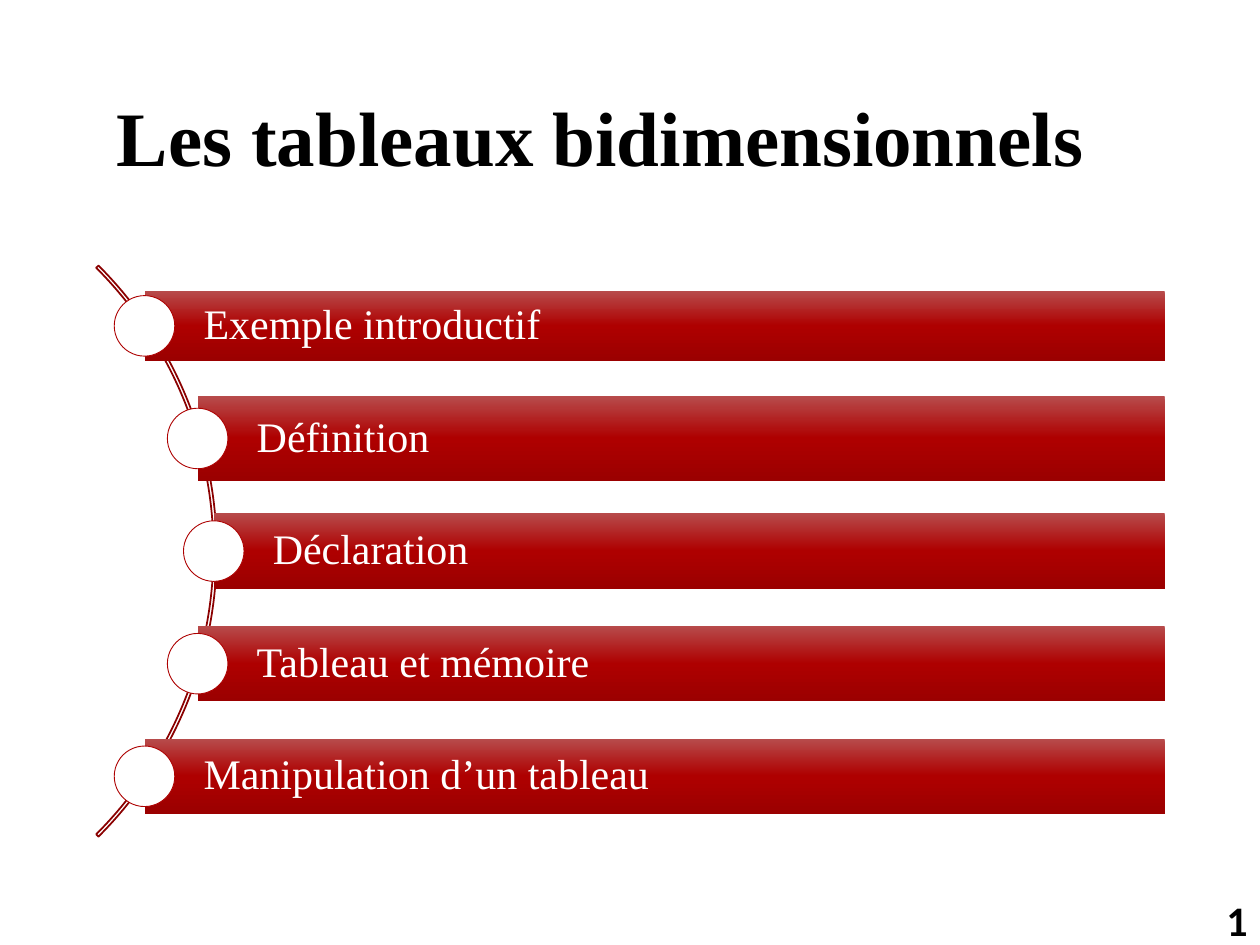
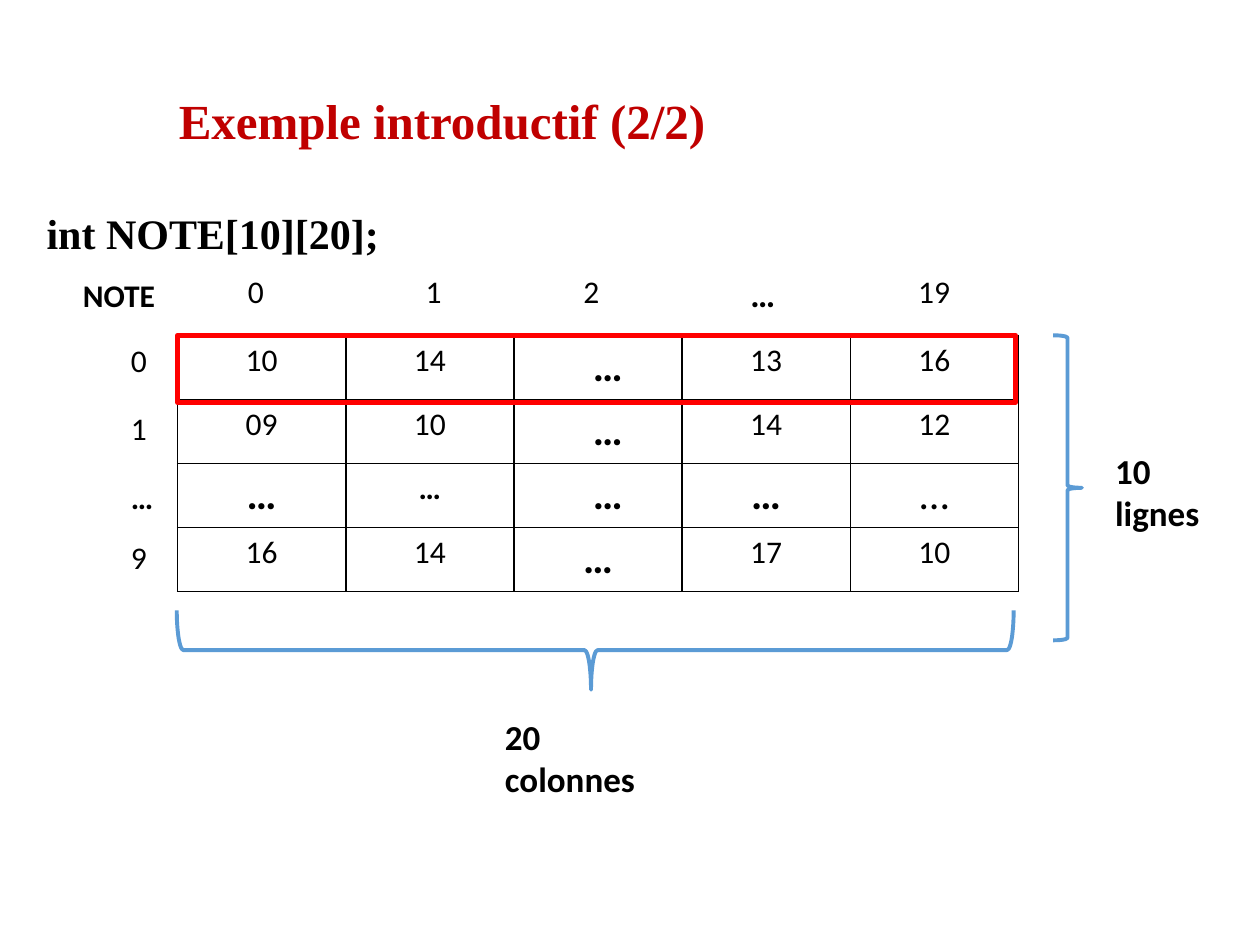
from copy import deepcopy
from math import sqrt

from lxml import etree
from pptx import Presentation
from pptx.dml.color import RGBColor
from pptx.enum import shapes, text
from pptx.oxml.ns import qn
from pptx.util import Cm, Pt

BLACK = RGBColor(0x00, 0x00, 0x00)
WHITE = RGBColor(0xFF, 0xFF, 0xFF)
RED = RGBColor(0xFF, 0x00, 0x00)
TITLE_RED = RGBColor(0xC0, 0x00, 0x00)
ARC_RED = RGBColor(0x8B, 0x01, 0x01)
RING_RED = RGBColor(0xAD, 0x01, 0x01)
BRACE_BLUE = RGBColor(0x5B, 0x9B, 0xD5)
BAR_STOPS = [
    (0, RGBColor(0xB7, 0x4B, 0x4B)),
    (0.5, RGBColor(0xAE, 0x00, 0x00)),
    (1, RGBColor(0x9B, 0x00, 0x00)),
]
SERIF, SANS = "Times New Roman", "Calibri"
SHAPE = shapes.MSO_SHAPE
ALIGN, ANCHOR = text.PP_ALIGN, text.MSO_ANCHOR

TOPICS = [
    ("Exemple introductif", 1.4),
    ("Définition", 1.7),
    ("Déclaration", 1.52),
    ("Tableau et mémoire", 1.52),
    ("Manipulation d’un tableau", 1.52),
]
ARC_X, ARC_Y, ARC_SIZE = -3.77, 11.11, 16.28
RING_ORBIT, RING_SIZE = 8.08, 1.22
TOPIC_PITCH, BAR_RIGHT = 2.27, 23.48

NOTES = [
    ["10", "14", "…", "13", "16"],
    ["09", "10", "…", "14", "12"],
    ["…", "…", "…", "…", "…"],
    ["16", "14", "…", "17", "10"],
]
DOT_FORMATS = {(2, 1): dict(size=18, bold=True), (2, 4): dict(size=24)}
SHIFTED_CELLS = [(0, 2), (1, 2), (2, 2)]
TABLE_X, TABLE_Y, COL_W, ROW_H = 3.58, 6.76, 3.39, 1.29

ROW_LABELS = [("0", 6.76), ("1", 8.13), ("…", 9.52), ("9", 10.72)]
COL_LABELS = [("0", 4.75), ("1", 8.33), ("2", 11.51), ("…", 14.88), ("19", 18.26)]
LABEL_WIDTHS = {"…": 0.97, "19": 1.17}
CAPTIONS = [
    ("int NOTE[10][20];", (0.69, 4.06, 7.21, 2.31), dict(size=24, font=SERIF)),
    ("NOTE", (1.42, 5.44, 1.96, 1.02), dict(size=18)),
    ("10 lignes", (22.23, 8.94, 3.07, 1.12), dict(size=20)),
    ("20 colonnes", (9.93, 14.3, 3.99, 1.12), dict(size=20)),
]


def write(tf, content, size=18, font=SANS, color=BLACK, bold=False,
          align=ALIGN.LEFT, spacing=None):
    p = tf.paragraphs[0]
    p.alignment = align
    p.line_spacing = spacing
    r = p.add_run()
    r.text = content
    r.font.size, r.font.name, r.font.bold = Pt(size), font, bold
    r.font.color.rgb = color


def add_label(slide, content, box, anchor=ANCHOR.TOP, wrap=False, **fmt):
    tf = slide.shapes.add_textbox(*map(Cm, box)).text_frame
    tf.word_wrap, tf.vertical_anchor = wrap, anchor
    write(tf, content, **fmt)


def add_shape(slide, kind, box, fill=None, line=None, width=1, adj=()):
    sp = slide.shapes.add_shape(kind, *map(Cm, box))
    sp.shadow.inherit = False
    if fill is None:
        sp.fill.background()
    else:
        sp.fill.solid()
        sp.fill.fore_color.rgb = fill
    if line is None:
        sp.line.fill.background()
    else:
        sp.line.color.rgb = line
        sp.line.width = Pt(width)
    for i, value in enumerate(adj):
        sp.adjustments[i] = value
    return sp


def add_titled_slide(prs, content, box, anchor, **fmt):
    slide = prs.slides.add_slide(prs.slide_layouts[5])
    title = slide.shapes.title
    title.left, title.top, title.width, title.height = map(Cm, box)
    title.text_frame.vertical_anchor = anchor
    write(title.text_frame, content, font=SERIF, bold=True, **fmt)
    return slide


def fill_gradient(sp):
    sp.fill.gradient()
    stop_list = sp._element.spPr.find(".//" + qn("a:gsLst"))
    stop_list.append(deepcopy(stop_list[-1]))
    for stop, (position, color) in zip(sp.fill.gradient_stops, BAR_STOPS):
        stop.position = position
        stop.color.rgb = color
    sp.fill.gradient_angle = 270


def border(cell):
    tc_pr = cell._tc.get_or_add_tcPr()
    for side in ("lnL", "lnR", "lnT", "lnB"):
        ln = etree.SubElement(tc_pr, qn("a:" + side), w=str(Pt(1)))
        solid = etree.SubElement(ln, qn("a:solidFill"))
        etree.SubElement(solid, qn("a:srgbClr"), val=str(BLACK))


def add_topic(slide, content, height, y):
    x = ARC_X + sqrt(RING_ORBIT ** 2 - (y - ARC_Y) ** 2)
    bar = add_shape(slide, SHAPE.RECTANGLE,
                    (x, y - height / 2, BAR_RIGHT - x, height))
    fill_gradient(bar)
    tf = bar.text_frame
    tf.word_wrap, tf.vertical_anchor = True, ANCHOR.MIDDLE
    tf.margin_left = Cm(1.19)
    tf.margin_right = tf.margin_top = tf.margin_bottom = Cm(0.18)
    write(tf, content, size=24, font=SERIF, color=WHITE, spacing=0.9)
    add_shape(slide, SHAPE.OVAL,
              (x - RING_SIZE / 2, y - RING_SIZE / 2, RING_SIZE, RING_SIZE),
              fill=WHITE, line=RING_RED, width=0.5)


def build_outline(prs):
    slide = add_titled_slide(prs, "Les tableaux bidimensionnels",
                             (2.1, 1.02, 21.55, 3.68), ANCHOR.MIDDLE,
                             size=44, spacing=0.9)
    add_shape(slide, SHAPE.BLOCK_ARC,
              (ARC_X - ARC_SIZE / 2, ARC_Y - ARC_SIZE / 2, ARC_SIZE, ARC_SIZE),
              line=ARC_RED, adj=(189, 27, 0.004))
    first_y = ARC_Y - TOPIC_PITCH * (len(TOPICS) - 1) / 2
    for i, (content, height) in enumerate(TOPICS):
        add_topic(slide, content, height, first_y + i * TOPIC_PITCH)
    add_label(slide, "1", (19.69, 18.03, 5.71, 1.02), anchor=ANCHOR.MIDDLE,
              wrap=True, size=24, bold=True, align=ALIGN.RIGHT)


def add_notes_table(slide):
    rows, cols = len(NOTES), len(NOTES[0])
    box = (TABLE_X, TABLE_Y, COL_W * cols, ROW_H * rows)
    table = slide.shapes.add_table(rows, cols, *map(Cm, box)).table
    table.first_row = table.horz_banding = False
    for i, row in enumerate(NOTES):
        for j, value in enumerate(row):
            cell = table.cell(i, j)
            border(cell)
            cell.fill.background()
            if (i, j) in SHIFTED_CELLS:
                cell.margin_left = Cm(0.65)
            usual = dict(size=24, bold=True) if value == "…" else dict(size=18)
            write(cell.text_frame, value, align=ALIGN.CENTER,
                  **DOT_FORMATS.get((i, j), usual))


def build_example(prs):
    slide = add_titled_slide(prs, "Exemple introductif (2/2)",
                             (3.35, 1.7, 17.1, 1.45), ANCHOR.TOP,
                             size=28, color=TITLE_RED)
    add_notes_table(slide)
    add_shape(slide, SHAPE.RIGHT_BRACE, (21.23, TABLE_Y, 0.58, 6.15),
              line=BRACE_BLUE, width=2.25)
    brace = add_shape(slide, SHAPE.LEFT_BRACE, (11.2, 4.67, 1.6, 16.87),
                      line=BRACE_BLUE, width=2.25, adj=(0.083, 0.495))
    brace.rotation = 270
    for content, box, fmt in CAPTIONS:
        add_label(slide, content, box, bold=True, **fmt)
    for content, y in ROW_LABELS:
        add_label(slide, content, (2.39, y, LABEL_WIDTHS.get(content, 0.84), 1.02),
                  bold=content == "…")
    for content, x in COL_LABELS:
        dots = content == "…"
        add_label(slide, content, (x, 5.36, LABEL_WIDTHS.get(content, 0.84), 1.02),
                  size=20 if dots else 18, bold=dots)
    add_shape(slide, SHAPE.RECTANGLE, (TABLE_X, TABLE_Y, 16.89, 1.35),
              line=RED, width=3)


def main():
    prs = Presentation()
    prs.slide_width, prs.slide_height = Cm(25.4), Cm(19.05)
    build_outline(prs)
    build_example(prs)
    prs.save("out.pptx")


if __name__ == "__main__":
    main()
